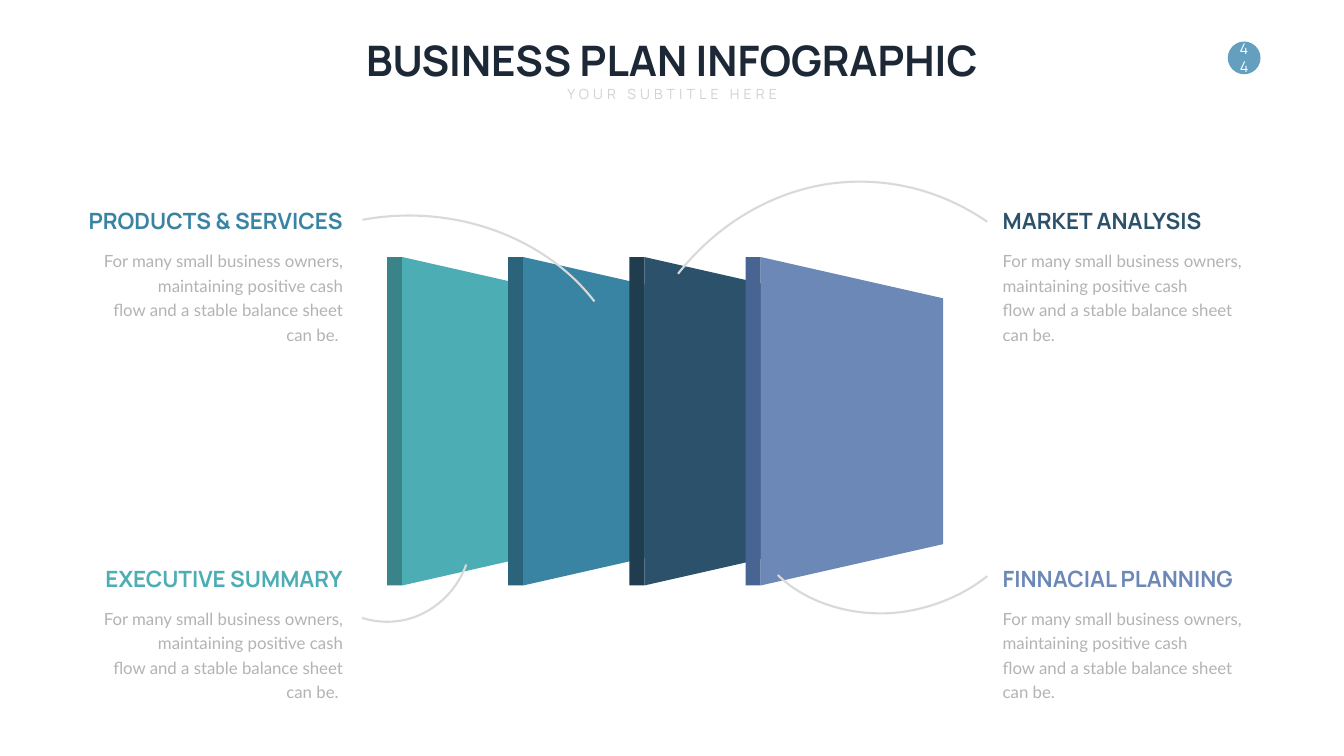
from dataclasses import dataclass

from lxml import etree
from pptx import Presentation
from pptx.dml.color import RGBColor
from pptx.enum.shapes import MSO_SHAPE
from pptx.enum.text import MSO_ANCHOR, MSO_AUTO_SIZE, PP_ALIGN
from pptx.oxml.ns import qn
from pptx.util import Pt

LEFT, CENTER, RIGHT = PP_ALIGN.LEFT, PP_ALIGN.CENTER, PP_ALIGN.RIGHT
TOP, MIDDLE, BOTTOM = MSO_ANCHOR.TOP, MSO_ANCHOR.MIDDLE, MSO_ANCHOR.BOTTOM
RECTANGLE, OVAL = MSO_SHAPE.RECTANGLE, MSO_SHAPE.OVAL
FIT_SHAPE = MSO_AUTO_SIZE.SHAPE_TO_FIT_TEXT
HARD_SPACE = chr(160)  # keeps two words on one line


@dataclass(frozen=True)
class Theme:
    heading_font: str = "Manrope"
    body_font: str = "Lato"
    title_size: float = 60
    subtitle_size: float = 20
    heading_size: float = 32
    body_size: float = 24
    number_size: float = 21
    title: str = "1C2835"
    subtitle: str = "D1D1D1"
    body: str = "B3B3B3"
    white: str = "FFFFFF"
    badge: str = "659FC0"
    curve: str = "D9D9D9"
    teal: str = "4DADB5"
    teal_edge: str = "398389"
    blue: str = "3984A3"
    blue_edge: str = "2B637A"
    navy: str = "2B526A"
    navy_edge: str = "203D50"
    violet: str = "6C88B7"
    violet_edge: str = "486492"


theme = Theme()


def write_text(shape, text, *, size, color, font=theme.heading_font, bold=False,
               align=LEFT, anchor=TOP, wrap=True, line_spacing=None, tracking=None):
    """Fill a shape with one formatted paragraph; tracking is in points."""
    frame = shape.text_frame
    frame.word_wrap = wrap
    frame.vertical_anchor = anchor
    paragraph = frame.paragraphs[0]
    paragraph.alignment = align
    if line_spacing:
        paragraph.line_spacing = Pt(line_spacing)
    run = paragraph.add_run()
    run.text = text
    run.font.name = font
    run.font.size = Pt(size)
    run.font.bold = bold
    run.font.color.rgb = RGBColor.from_string(color)
    if tracking:
        run.font._element.set("spc", str(tracking * 100))


def paint(shape, color):
    shape.shadow.inherit = False
    shape.fill.solid()
    shape.fill.fore_color.rgb = RGBColor.from_string(color)
    shape.line.fill.background()


presentation = Presentation()
presentation.slide_width = Pt(1919.52)
presentation.slide_height = Pt(1080)
slide = presentation.slides.add_slide(presentation.slide_layouts[6])
shapes = slide.shapes

# Page number
badge = shapes.add_shape(OVAL, Pt(1753.5), Pt(59.3), Pt(46.8), Pt(46.8))
paint(badge, theme.badge)
write_text(badge, "44", size=theme.number_size, color=theme.white,
           align=CENTER, anchor=MIDDLE)

# Panels seen in perspective, each with a darker front edge
panel_top, panel_bottom = 367.2, 836.4
edge_width, face_width, slant = 21.5, 260.5, 59
panels = [
    (553, theme.teal, theme.teal_edge),
    (725.8, theme.blue, theme.blue_edge),
    (898.8, theme.navy, theme.navy_edge),
    (1065, theme.violet, theme.violet_edge),
]
for left, face_color, edge_color in panels:
    edge = shapes.add_shape(RECTANGLE, Pt(left), Pt(panel_top), Pt(edge_width),
                            Pt(panel_bottom - panel_top))
    paint(edge, edge_color)
    near, far = left + edge_width, left + edge_width + face_width
    builder = shapes.build_freeform(Pt(near), Pt(panel_top))
    builder.add_line_segments([
        (Pt(far), Pt(panel_top + slant)),
        (Pt(far), Pt(panel_bottom - slant)),
        (Pt(near), Pt(panel_bottom)),
    ])
    paint(builder.convert_to_shape(), face_color)

# Curves from panels to headings: a start, then three Bezier points per segment
curves = [
    [(849, 430.6), (813.6, 384.5), (763.2, 349.2), (704.2, 328.3),
     (645.1, 307.4), (580.3, 302.4), (517.7, 314)],
    [(666, 806.4), (654.5, 838), (631.4, 863.3), (602.6, 877),
     (576, 890), (545, 891.4), (517, 882.7)],
    [(968.4, 391), (1022.4, 322.6), (1096.6, 277.2), (1178, 263.5),
     (1257.8, 250.6), (1340, 268.6), (1410, 316.8)],
    [(1111, 821.5), (1147, 857.5), (1212.5, 882.7), (1284.5, 874.8),
     (1330.6, 869), (1375.2, 851), (1410, 823)],
]
for points in curves:
    start, *rest = [(Pt(x), Pt(y)) for x, y in points]
    builder = shapes.build_freeform(*start)
    builder.add_line_segments(rest, close=False)
    curve = builder.convert_to_shape()
    curve.shadow.inherit = False
    curve.fill.background()
    curve.line.color.rgb = RGBColor.from_string(theme.curve)
    curve.line.width = Pt(3)
    # Turn every three straight steps into one Bezier segment
    outline = next(curve._element.iter(qn("a:path")))
    steps = outline.findall(qn("a:lnTo"))
    for first in range(0, len(steps), 3):
        bezier = etree.SubElement(outline, qn("a:cubicBezTo"))
        for step in steps[first:first + 3]:
            bezier.append(step[0])
            outline.remove(step)

# Title and subtitle
title = shapes.add_textbox(Pt(505.4), Pt(46), Pt(908.6), Pt(80))
write_text(title, "BUSINESS PLAN INFOGRAPHIC", size=theme.title_size,
           color=theme.title, bold=True, align=CENTER, wrap=False)
title.text_frame.auto_size = FIT_SHAPE
subtitle = shapes.add_textbox(Pt(800.6), Pt(118), Pt(319), Pt(31.7))
write_text(subtitle, "YOUR SUBTITLE HERE", size=theme.subtitle_size,
           color=theme.subtitle, align=CENTER, wrap=False, tracking=6)
subtitle.text_frame.auto_size = FIT_SHAPE

# Topics: heading with its description, two on each side
description = (f"For many small business owners, maintaining positive{HARD_SPACE}cash "
               f"flow{HARD_SPACE}and a stable balance sheet can be.")
left_edge, right_edge, body_width = 1424.9, 496.8, 375.1
upper, lower = 291.6, 802.8
topics = [
    ("MARKET ANALYSIS", theme.navy, LEFT, upper),
    ("FINNACIAL PLANNING", theme.violet, LEFT, lower),
    ("PRODUCTS & SERVICES", theme.blue, RIGHT, upper),
    ("EXECUTIVE SUMMARY", theme.teal, RIGHT, lower),
]
for name, color, align, top in topics:
    on_left_side = align == RIGHT
    heading_width = 392.4 if on_left_side else body_width
    heading_left = right_edge - heading_width if on_left_side else left_edge
    body_left = right_edge - body_width if on_left_side else left_edge
    body = shapes.add_textbox(Pt(body_left), Pt(top + 56.9), Pt(body_width), Pt(109.4))
    write_text(body, description + (" " if on_left_side else ""),
               size=theme.body_size, color=theme.body, font=theme.body_font,
               align=align, line_spacing=35)
    heading = shapes.add_textbox(Pt(heading_left), Pt(top), Pt(heading_width), Pt(46))
    write_text(heading, name, size=theme.heading_size, color=color, bold=True,
               align=align, anchor=BOTTOM)
    for box in (body, heading):
        box.text_frame.auto_size = FIT_SHAPE

presentation.save("out.pptx")
